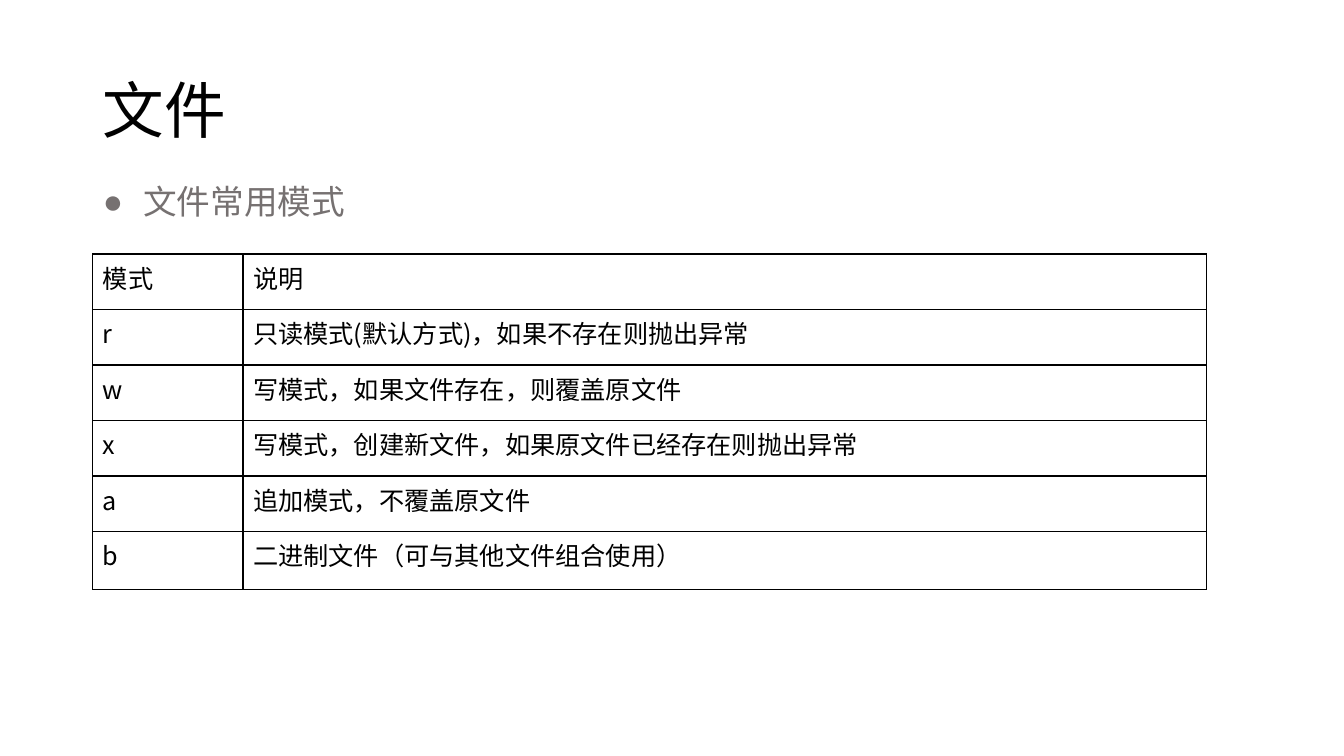
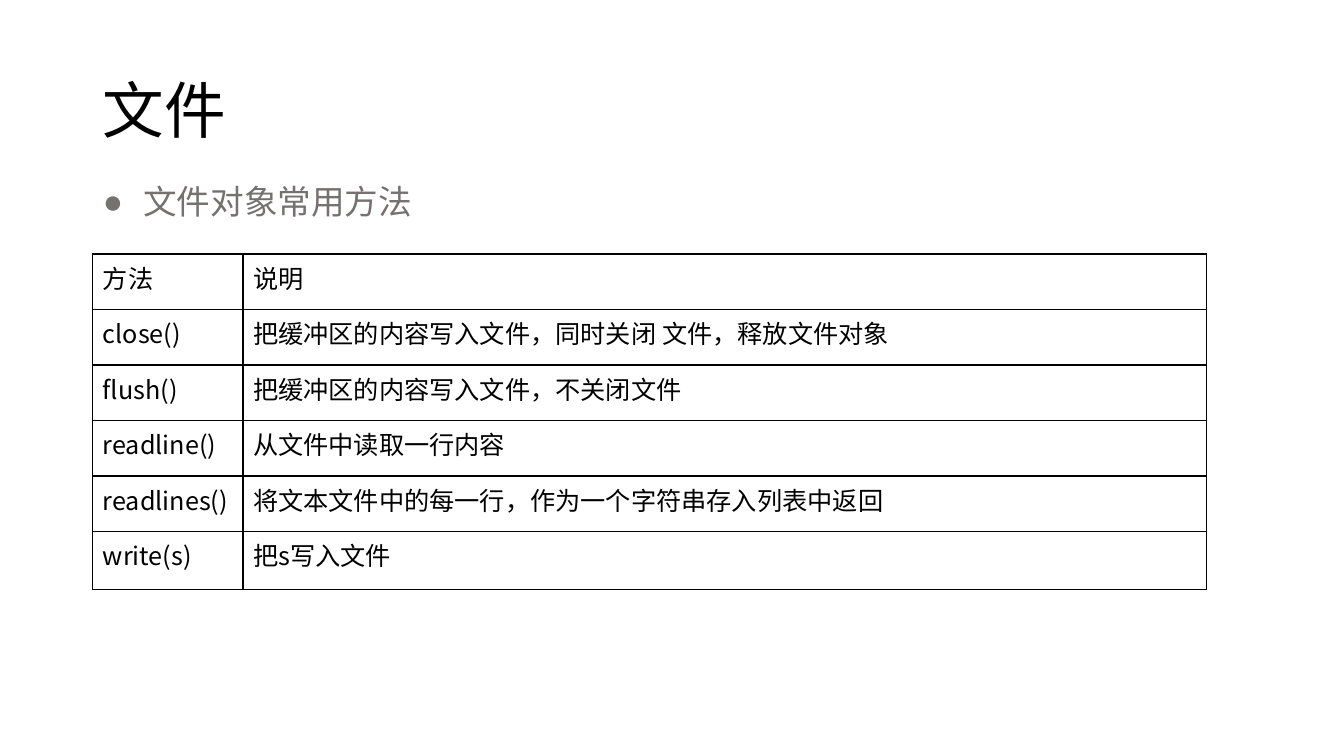
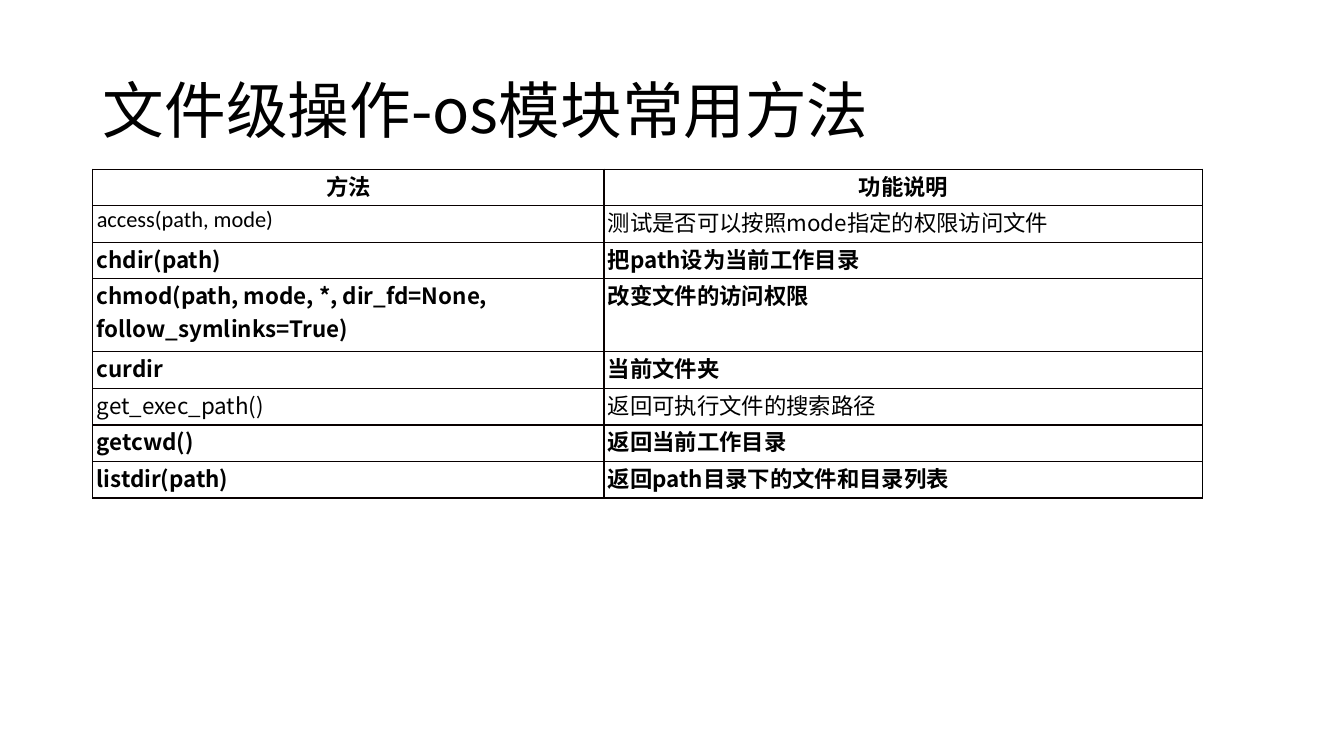
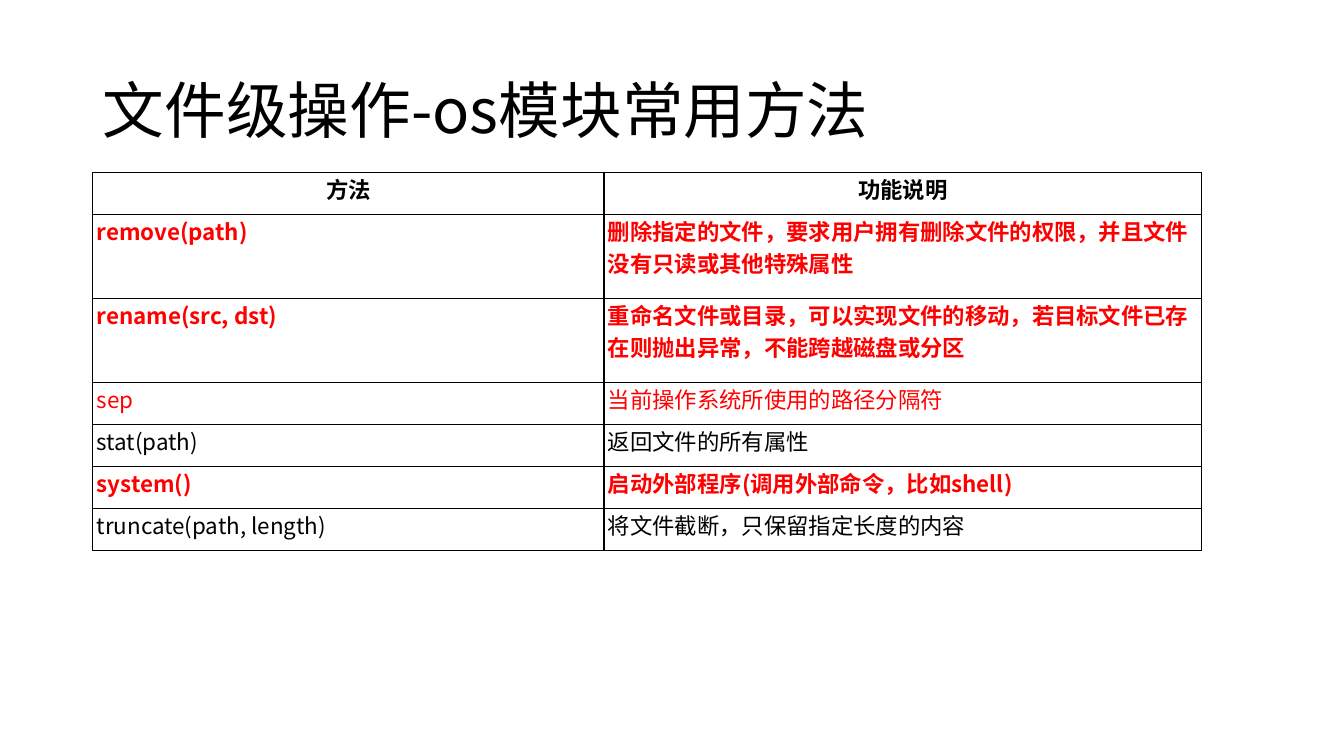
from dataclasses import dataclass

from lxml.etree import SubElement
from pptx import Presentation
from pptx.dml.color import RGBColor
from pptx.enum.text import MSO_ANCHOR, MSO_AUTO_SIZE, PP_ALIGN
from pptx.oxml.ns import qn
from pptx.presentation import Presentation as Deck
from pptx.shapes.placeholder import SlidePlaceholder
from pptx.slide import Slide
from pptx.table import _Cell as Cell
from pptx.text.text import _Paragraph as Paragraph
from pptx.util import Inches, Pt

BLACK, GREY, RED = "000000", "767171", "FF0000"
TABLE_LINE = "080000"
MAIN_FONT = "Noto Sans CJK SC"
LEFT = 0.92
TEXT_WIDTH = 11.5


@dataclass(frozen=True)
class Row:
    """A table row; share is its height relative to a plain row."""
    name: str
    meaning: str
    bold: bool = False
    color: str = BLACK
    share: float = 1
    name_font: str = MAIN_FONT


@dataclass(frozen=True)
class TableStyle:
    """Text size, cell insets and border colours of a table."""
    size: int
    line_color: str
    right_line_width: float
    compact: bool


@dataclass(frozen=True)
class TableSlide:
    """A titled slide with a two-column table and an optional bullet."""
    title: str
    style: TableStyle
    top: float
    height: float
    columns: tuple[float, float]
    rows: tuple[Row, ...]
    bullet: str = ""


OPEN_STYLE = TableStyle(18, BLACK, 1, False)
COMPACT_STYLE = TableStyle(16, TABLE_LINE, 0.75, True)
FILE_TITLE = "文件"
OS_TITLE = "文件级操作-os模块常用方法"
OS_HEADER = Row("方法", "功能说明", True)
FILE_COLUMNS = (1.49, 9.56)

SLIDES = (
    TableSlide(FILE_TITLE, OPEN_STYLE, 2.52, 3.33, FILE_COLUMNS, (
        Row("模式", "说明"),
        Row("r", "只读模式(默认方式)，如果不存在则抛出异常"),
        Row("w", "写模式，如果文件存在，则覆盖原文件"),
        Row("x", "写模式，创建新文件，如果原文件已经存在则抛出异常"),
        Row("a", "追加模式，不覆盖原文件"),
        Row("b", "二进制文件（可与其他文件组合使用）", share=1.05),
    ), "文件常用模式"),
    TableSlide(FILE_TITLE, OPEN_STYLE, 2.52, 3.33, FILE_COLUMNS, (
        Row("方法", "说明"),
        Row("close()", "把缓冲区的内容写入文件，同时关闭 文件，释放文件对象"),
        Row("flush()", "把缓冲区的内容写入文件，不关闭文件"),
        Row("readline()", "从文件中读取一行内容"),
        Row("readlines()", "将文本文件中的每一行，作为一个字符串存入列表中返回"),
        Row("write(s)", "把s写入文件", share=1.05),
    ), "文件对象常用方法"),
    TableSlide(OS_TITLE, COMPACT_STYLE, 1.68, 3.26, (5.07, 5.94), (
        OS_HEADER,
        Row("access(path, mode)", "测试是否可以按照mode指定的权限访问文件", name_font="Calibri"),
        Row("chdir(path)", "把path设为当前工作目录", True),
        Row("chmod(path, mode, *, dir_fd=None, follow_symlinks=True)",
            "改变文件的访问权限", True, share=2),
        Row("curdir", "当前文件夹", True),
        Row("get_exec_path()", "返回可执行文件的搜索路径"),
        Row("getcwd()", "返回当前工作目录", True),
        Row("listdir(path)", "返回path目录下的文件和目录列表", True),
    )),
    TableSlide(OS_TITLE, COMPACT_STYLE, 1.71, 3.75, (5.07, 5.93), (
        OS_HEADER,
        Row("remove(path)", "删除指定的文件，要求用户拥有删除文件的权限，并且文件没有只读或其他特殊属性",
            True, RED, 2),
        Row("rename(src, dst)", "重命名文件或目录，可以实现文件的移动，若目标文件已存在则抛出异常，不能跨越磁盘或分区",
            True, RED, 2),
        Row("sep", "当前操作系统所使用的路径分隔符", color=RED),
        Row("stat(path)", "返回文件的所有属性"),
        Row("system()", "启动外部程序(调用外部命令，比如shell)", True, RED),
        Row("truncate(path, length)", "将文件截断，只保留指定长度的内容"),
    )),
)


def rgb(color: str) -> RGBColor:
    """Turn a hex string into a colour."""
    return RGBColor.from_string(color)


def format_paragraph(paragraph: Paragraph, size: int, color: str,
                     bold: bool = False, font_name: str = MAIN_FONT) -> None:
    """Set the paragraph font for Latin and East Asian text."""
    font = paragraph.font
    font.size, font.bold, font.name = Pt(size), bold, font_name
    font.color.rgb = rgb(color)
    SubElement(font._element, qn("a:ea"), typeface=font_name)


def fill_placeholder(placeholder: SlidePlaceholder, text: str, top: float,
                     height: float, size: int, color: str) -> Paragraph:
    """Place a placeholder, write its text and return the paragraph."""
    placeholder.left, placeholder.top = Inches(LEFT), Inches(top)
    placeholder.width, placeholder.height = Inches(TEXT_WIDTH), Inches(height)
    frame = placeholder.text_frame
    frame.text = text
    frame.auto_size = MSO_AUTO_SIZE.NONE
    paragraph = frame.paragraphs[0]
    paragraph.alignment = PP_ALIGN.LEFT
    paragraph.line_spacing = 0.9
    paragraph.space_before = Pt(0)
    format_paragraph(paragraph, size, color)
    return paragraph


def add_title(slide: Slide, text: str) -> None:
    """Write the slide title."""
    fill_placeholder(slide.shapes.title, text, 0.4, 1.45, 44, BLACK)
    slide.shapes.title.text_frame.vertical_anchor = MSO_ANCHOR.MIDDLE


def add_bullet(slide: Slide, text: str) -> None:
    """Write the bulleted line above the table."""
    paragraph = fill_placeholder(slide.placeholders[1], text, 1.79, 0.58, 24, GREY)
    paragraph.space_before, paragraph.space_after = Pt(10), Pt(6)
    properties = paragraph._p.get_or_add_pPr()
    properties.set("marL", str(Inches(0.4)))
    properties.set("indent", str(-Inches(0.4)))
    bullet = properties.makeelement(qn("a:buChar"), {"char": "●"})
    properties.find(qn("a:defRPr")).addprevious(bullet)


def add_border(cell: Cell, side: str, color: str, width: float) -> None:
    """Draw one side (L, R, T or B) of a cell."""
    line = SubElement(cell._tc.get_or_add_tcPr(), qn(f"a:ln{side}"), w=str(Pt(width)))
    fill = SubElement(line, qn("a:solidFill"))
    SubElement(fill, qn("a:srgbClr"), val=color)


def fill_cell(cell: Cell, row: Row, column: int, is_header: bool, style: TableStyle) -> None:
    """Write and format one table cell."""
    cell.text = (row.name, row.meaning)[column]
    paragraph = cell.text_frame.paragraphs[0]
    font_name = (row.name_font, MAIN_FONT)[column]
    format_paragraph(paragraph, style.size, row.color, row.bold, font_name)
    if style.compact:
        cell.margin_left = Inches(0 if is_header else 0.04)
        cell.margin_right = cell.margin_top = cell.margin_bottom = 0
        if is_header:
            paragraph.alignment = PP_ALIGN.CENTER
    for side in "LRTB":
        if side == "R" and column == 1:
            add_border(cell, side, BLACK, style.right_line_width)
        else:
            add_border(cell, side, style.line_color, 1)
    cell.fill.background()


def add_method_table(slide: Slide, content: TableSlide) -> None:
    """Add the two-column table, dividing its height by row share."""
    rows, columns = content.rows, content.columns
    table = slide.shapes.add_table(
        len(rows), len(columns), Inches(LEFT), Inches(content.top),
        Inches(sum(columns)), Inches(content.height)).table
    table.first_row = table.horz_banding = False
    for column, width in zip(table.columns, columns):
        column.width = Inches(width)
    row_height = content.height / sum(row.share for row in rows)
    for row_index, row in enumerate(rows):
        table.rows[row_index].height = Inches(row_height * row.share)
        for column_index in range(len(columns)):
            fill_cell(table.cell(row_index, column_index), row, column_index,
                      row_index == 0, content.style)


def add_table_slide(presentation: Deck, content: TableSlide) -> None:
    """Add a whole slide from its description."""
    layout_name = "Title and Content" if content.bullet else "Title Only"
    slide = presentation.slides.add_slide(
        presentation.slide_layouts.get_by_name(layout_name))
    add_title(slide, content.title)
    if content.bullet:
        add_bullet(slide, content.bullet)
    add_method_table(slide, content)


def main() -> None:
    """Build and save the presentation."""
    presentation = Presentation()
    presentation.slide_width, presentation.slide_height = Inches(13.33), Inches(7.5)
    for content in SLIDES:
        add_table_slide(presentation, content)
    presentation.save("out.pptx")


main()
